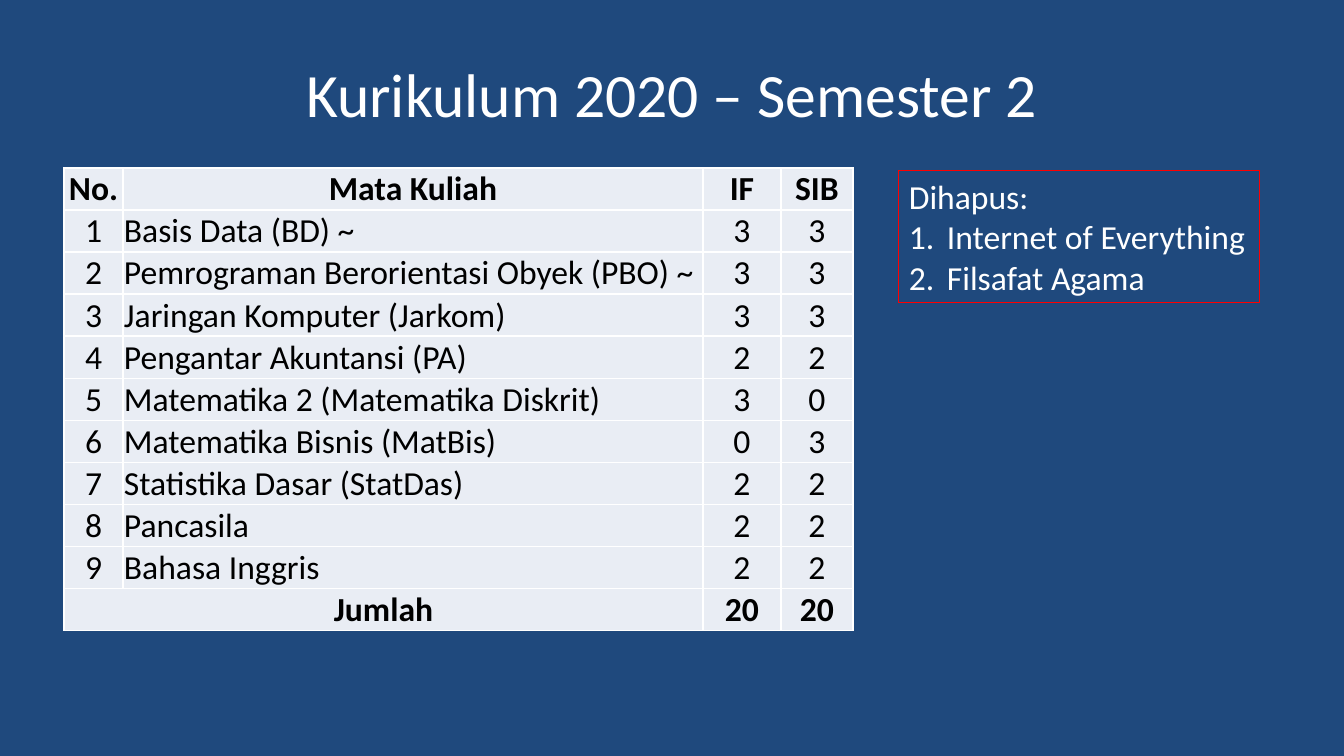
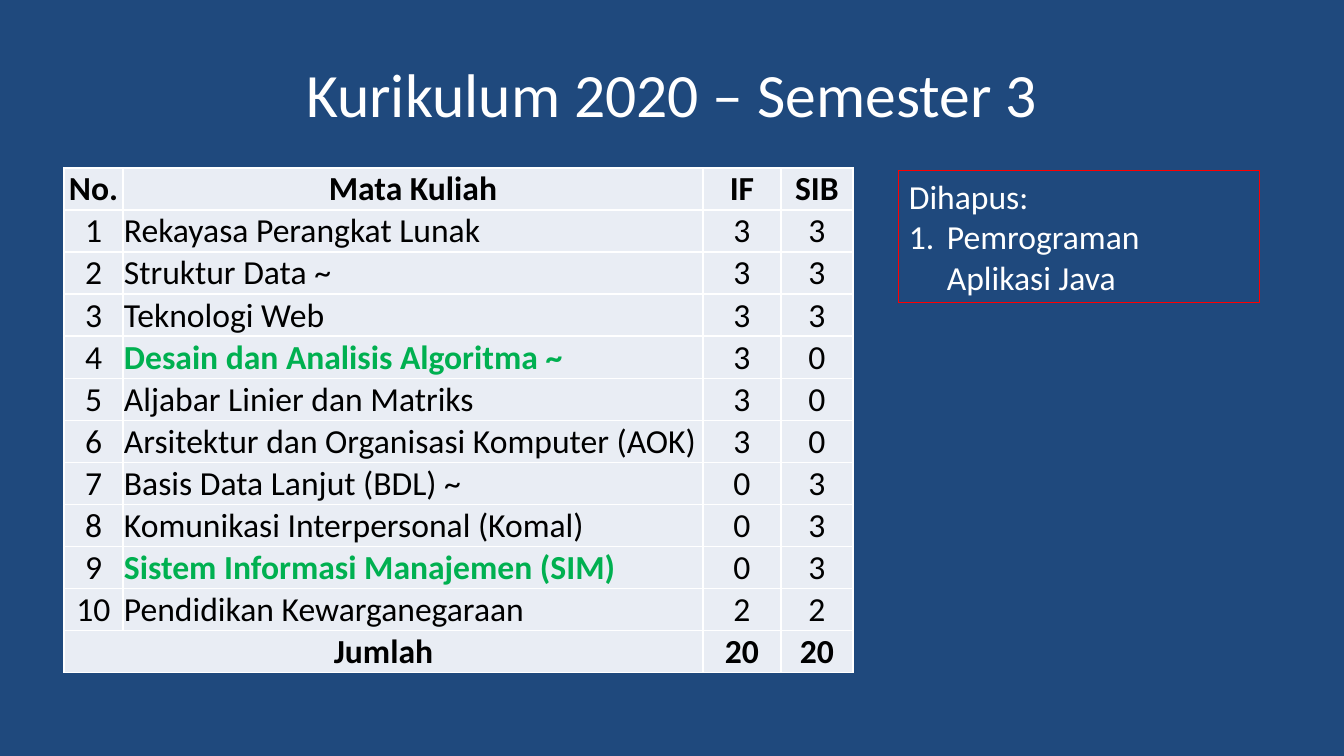
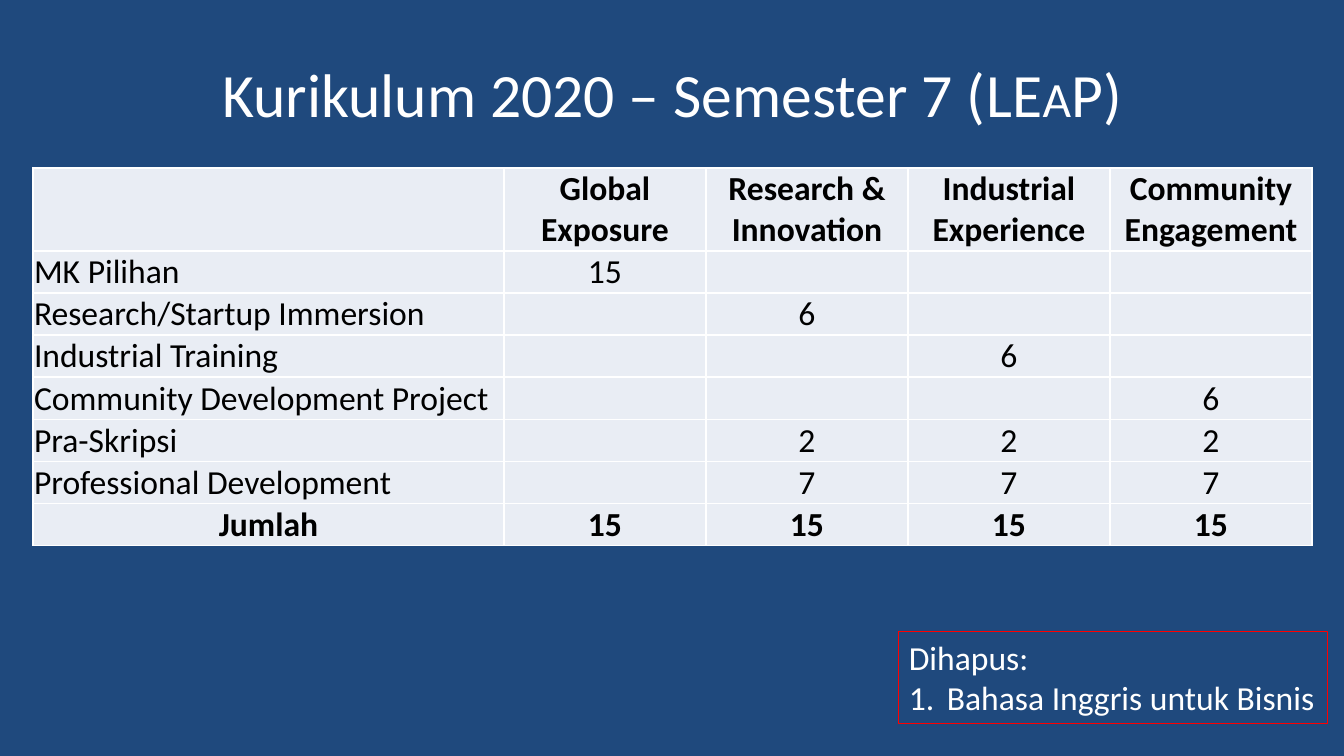
from dataclasses import dataclass

from pptx import Presentation
from pptx.dml.color import RGBColor
from pptx.enum import shapes, text
from pptx.oxml import ns, xmlchemy
from pptx.util import Emu, Pt

EMU_PER_PIXEL = 914400 / 100.8
TITLE_ONLY = 5


@dataclass(frozen=True)
class Theme:
    font: str = "Calibri"
    background: str = "1F497D"
    light: str = "FFFFFF"
    dark: str = "000000"
    cell: str = "E9EDF4"
    highlight: str = "00B050"
    outline: str = "FF0000"
    title_size: int = 44
    body_size: int = 24
    outline_width: float = 0.75
    border_width: int = 1


THEME = Theme()

# Layout, in pixels
TITLE_BOX = (67, 30, 1210, 126)
TABLE_TOP = 168
ROW_HEIGHT = 42
NOTE_LEFT = 899
NOTE_INDENT = 38
COURSE_LEFT = 64
COURSE_WIDTHS = (59, 580, 78, 72)
TRACK_LEFT = 33
TRACK_WIDTHS = (471, 202, 202, 202, 202)

# Content: course name, IF credits, SIB credits
SEMESTER_2 = [
    ("Basis Data (BD) ~", 3, 3),
    ("Pemrograman Berorientasi Obyek (PBO) ~", 3, 3),
    ("Jaringan Komputer (Jarkom)", 3, 3),
    ("Pengantar Akuntansi (PA)", 2, 2),
    ("Matematika 2 (Matematika Diskrit)", 3, 0),
    ("Matematika Bisnis (MatBis)", 0, 3),
    ("Statistika Dasar (StatDas)", 2, 2),
    ("Pancasila", 2, 2),
    ("Bahasa Inggris", 2, 2),
]
SEMESTER_3 = [
    ("Rekayasa Perangkat Lunak", 3, 3),
    ("Struktur Data ~", 3, 3),
    ("Teknologi Web", 3, 3),
    ("Desain dan Analisis Algoritma ~", 3, 0),
    ("Aljabar Linier dan Matriks", 3, 0),
    ("Arsitektur dan Organisasi Komputer (AOK)", 3, 0),
    ("Basis Data Lanjut (BDL) ~", 0, 3),
    ("Komunikasi Interpersonal (Komal)", 0, 3),
    ("Sistem Informasi Manajemen (SIM)", 0, 3),
    ("Pendidikan Kewarganegaraan", 2, 2),
]
HIGHLIGHTED = {"Desain dan Analisis Algoritma ~", "Sistem Informasi Manajemen (SIM)"}
SEMESTER_7 = [
    ("", "Global Exposure", "Research & Innovation", "Industrial Experience",
     "Community Engagement"),
    ("MK Pilihan", 15, "", "", ""),
    ("Research/Startup Immersion", "", 6, "", ""),
    ("Industrial Training", "", "", 6, ""),
    ("Community Development Project", "", "", "", 6),
    ("Pra-Skripsi", "", 2, 2, 2),
    ("Professional Development", "", 7, 7, 7),
    ("Jumlah", 15, 15, 15, 15),
]


def px(pixels):
    return Emu(round(pixels * EMU_PER_PIXEL))


def add_run(paragraph, words, size, color, bold=False):
    run = paragraph.add_run()
    run.text = words
    run.font.name = THEME.font
    run.font.size = Pt(size)
    run.font.bold = bold
    run.font.color.rgb = RGBColor.from_string(color)
    return run


def add_child(parent, tag, **attributes):
    child = xmlchemy.OxmlElement(tag)
    for name, value in attributes.items():
        child.set(name, str(value))
    parent.append(child)
    return child


# Shared look
def prepare_template(presentation):
    presentation.slide_width, presentation.slide_height = px(1344), px(756)
    fill = presentation.slide_master.background.fill
    fill.solid()
    fill.fore_color.rgb = RGBColor.from_string(THEME.background)
    layout = presentation.slide_layouts[TITLE_ONLY]
    title = layout.placeholders[0]
    title.left, title.top, title.width, title.height = map(px, TITLE_BOX)
    return layout


def add_titled_slide(presentation, layout, title, small_caps=""):
    slide = presentation.slides.add_slide(layout)
    frame = slide.shapes.title.text_frame
    frame.vertical_anchor = text.MSO_ANCHOR.MIDDLE
    paragraph = frame.paragraphs[0]
    paragraph.alignment = text.PP_ALIGN.CENTER
    add_run(paragraph, title, THEME.title_size, THEME.light)
    if small_caps:
        run = add_run(paragraph, small_caps, THEME.title_size, THEME.light)
        run.font._element.set("cap", "small")
        add_run(paragraph, ")", THEME.title_size, THEME.light)
    return slide


# Tables
def style_cell(cell, anchor):
    cell.vertical_anchor = anchor
    cell.margin_left = cell.margin_right = cell.margin_top = px(1)
    cell.margin_bottom = 0
    properties = cell._tc.get_or_add_tcPr()
    for side in "LRTB":
        line = add_child(properties, f"a:ln{side}", w=Pt(THEME.border_width))
        fill = add_child(line, "a:solidFill")
        add_child(fill, "a:srgbClr", val=THEME.light)
    cell.fill.solid()
    cell.fill.fore_color.rgb = RGBColor.from_string(THEME.cell)


def add_grid(slide, left, widths, rows, name_column, anchor, header_height=ROW_HEIGHT):
    heights = [header_height] + [ROW_HEIGHT] * (len(rows) - 1)
    table = slide.shapes.add_table(
        len(rows), len(widths), px(left), px(TABLE_TOP), px(sum(widths)), px(sum(heights))
    ).table
    table.first_row = table.horz_banding = False
    for column, width in zip(table.columns, widths):
        column.width = px(width)
    for row, height in zip(table.rows, heights):
        row.height = px(height)

    for row_index, values in enumerate(rows):
        emphasized = row_index in (0, len(rows) - 1)
        for column_index, value in enumerate(values):
            cell = table.cell(row_index, column_index)
            style_cell(cell, anchor)
            if value == "":
                continue
            paragraph = cell.text_frame.paragraphs[0]
            is_name = column_index == name_column and not emphasized
            paragraph.alignment = text.PP_ALIGN.LEFT if is_name else text.PP_ALIGN.CENTER
            highlighted = value in HIGHLIGHTED
            color = THEME.highlight if highlighted else THEME.dark
            add_run(paragraph, str(value), THEME.body_size, color, emphasized or highlighted)
    return table


def add_course_table(slide, courses):
    totals = [sum(credits) for credits in list(zip(*courses))[1:]]
    rows = [("No.", "Mata Kuliah", "IF", "SIB")]
    rows += [(number, *course) for number, course in enumerate(courses, 1)]
    rows.append(("Jumlah", "", *totals))
    table = add_grid(slide, COURSE_LEFT, COURSE_WIDTHS, rows, 1, text.MSO_ANCHOR.MIDDLE)
    last = len(rows) - 1
    table.cell(last, 0).merge(table.cell(last, 1))


# Box of removed courses
def add_removed_box(slide, courses, top=171, width=361, height=132):
    box = slide.shapes.add_shape(
        shapes.MSO_SHAPE.RECTANGLE, px(NOTE_LEFT), px(top), px(width), px(height)
    )
    box.shadow.inherit = False
    box.fill.background()
    box.line.color.rgb = RGBColor.from_string(THEME.outline)
    box.line.width = Pt(THEME.outline_width)
    frame = box.text_frame
    frame.word_wrap = True
    frame.auto_size = text.MSO_AUTO_SIZE.SHAPE_TO_FIT_TEXT
    frame.vertical_anchor = text.MSO_ANCHOR.TOP
    heading = frame.paragraphs[0]
    heading.alignment = text.PP_ALIGN.LEFT
    add_run(heading, "Dihapus:", THEME.body_size, THEME.light)
    for course in courses:
        paragraph = frame.add_paragraph()
        paragraph.alignment = text.PP_ALIGN.LEFT
        properties = paragraph._p.get_or_add_pPr()
        properties.set("marL", str(px(NOTE_INDENT)))
        properties.set("indent", str(-px(NOTE_INDENT)))
        add_child(properties, "a:buFont", typeface="+mj-lt")
        add_child(properties, "a:buAutoNum", type="arabicPeriod")
        add_run(paragraph, course, THEME.body_size, THEME.light)


def main():
    presentation = Presentation()
    layout = prepare_template(presentation)

    # Semesters 2 and 3
    semesters = [
        (2, SEMESTER_2, ["Internet of Everything", "Filsafat Agama"]),
        (3, SEMESTER_3, ["Pemrograman Aplikasi Java"]),
    ]
    for number, courses, removed in semesters:
        slide = add_titled_slide(presentation, layout, f"Kurikulum 2020 – Semester {number}")
        add_course_table(slide, courses)
        add_removed_box(slide, removed)

    # Semester 7
    slide = add_titled_slide(presentation, layout, "Kurikulum 2020 – Semester 7 (", "LEaP")
    add_grid(slide, TRACK_LEFT, TRACK_WIDTHS, SEMESTER_7, 0, text.MSO_ANCHOR.BOTTOM, 83)
    add_removed_box(slide, ["Bahasa Inggris untuk Bisnis"], top=632, width=429, height=92)

    presentation.save("out.pptx")


main()
